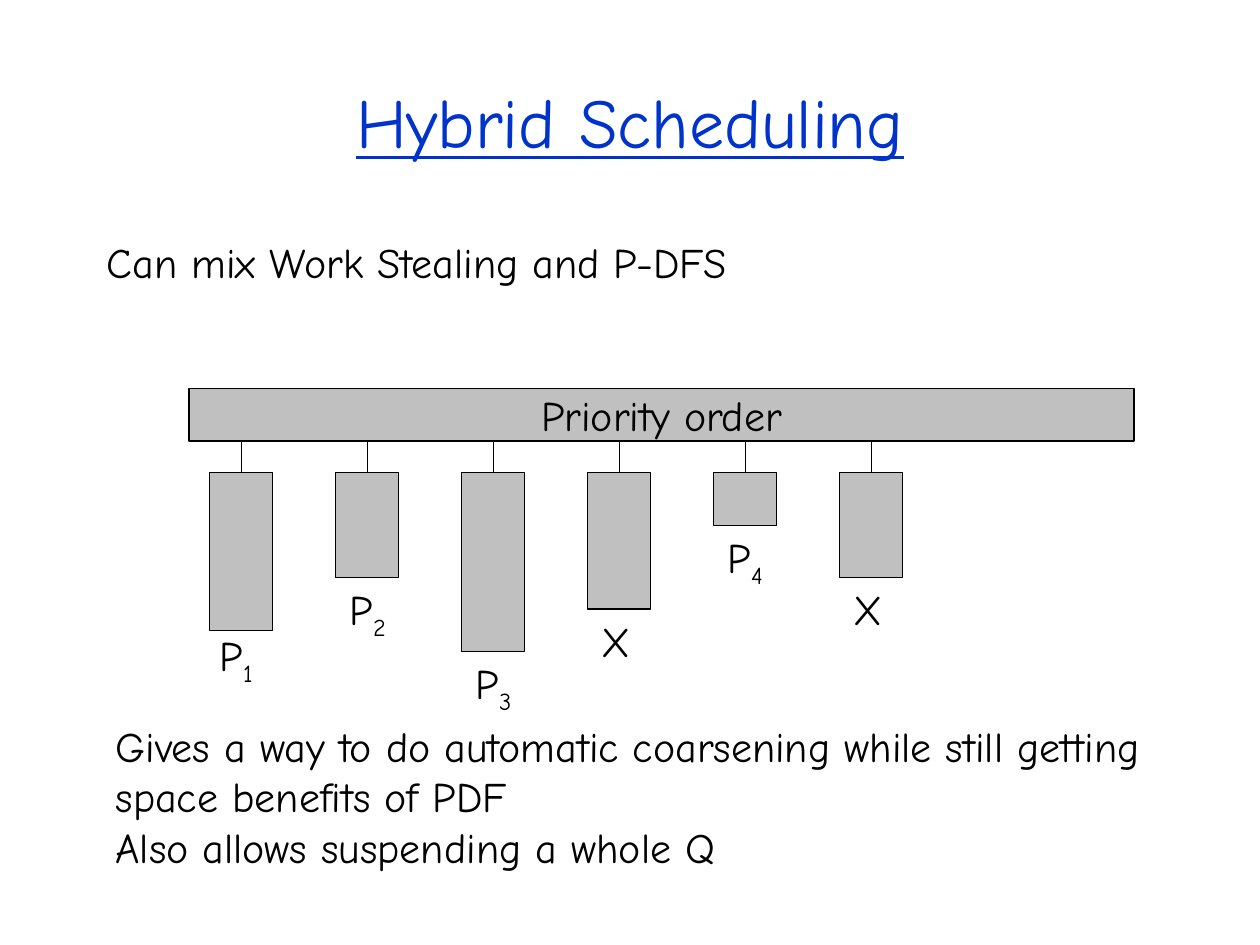
import dataclasses

import pptx
import pptx.dml.color
import pptx.enum.shapes
import pptx.enum.text
import pptx.oxml.ns
import pptx.util
from lxml import etree

Cm = pptx.util.Cm
Pt = pptx.util.Pt
BLUE = pptx.dml.color.RGBColor(0x00, 0x33, 0xCC)
BLACK = pptx.dml.color.RGBColor(0x00, 0x00, 0x00)
GRAY = pptx.dml.color.RGBColor(0xC0, 0xC0, 0xC0)
FONT = "Comic Neue"

BAR_TOP, BAR_HEIGHT = 7.83, 1.06
BAR_BOTTOM = BAR_TOP + BAR_HEIGHT
QUEUE_LEFT, QUEUE_TOP = 4.23, 9.53
QUEUE_WIDTH, QUEUE_PITCH = 1.27, 2.54


@dataclasses.dataclass
class Queue:
    height: float
    letter: str
    index: str = ""
    nudge_x: float = 0.03
    nudge_y: float = 0.0


QUEUES = [
    Queue(3.18, "P", "1", -0.05, -0.14),
    Queue(2.11, "P", "2"),
    Queue(3.6, "P", "3"),
    Queue(2.75, "X"),
    Queue(1.06, "P", "4"),
    Queue(2.11, "X"),
]


def place(shape, left: float, top: float, width: float, height: float) -> None:
    shape.left, shape.top = Cm(left), Cm(top)
    shape.width, shape.height = Cm(width), Cm(height)


def add_span(para, text: str, size: float = 24, color=BLACK):
    span = para.add_run()
    span.text = text
    span.font.name = FONT
    span.font.size = Pt(size)
    span.font.color.rgb = color
    return span


def add_block(page, left: float, top: float, width: float, height: float):
    block = page.shapes.add_shape(
        pptx.enum.shapes.MSO_SHAPE.RECTANGLE, Cm(left), Cm(top), Cm(width), Cm(height)
    )
    block.shadow.inherit = False
    block.fill.solid()
    block.fill.fore_color.rgb = GRAY
    block.line.color.rgb = BLACK
    block.line.width = Pt(0.75)
    return block


def add_label(page, left: float, top: float, width: float, height: float):
    box = page.shapes.add_textbox(Cm(left), Cm(top), Cm(width), Cm(height))
    box.text_frame.word_wrap = False
    box.text_frame.auto_size = pptx.enum.text.MSO_AUTO_SIZE.SHAPE_TO_FIT_TEXT
    return box


def add_queue(page, position: int, queue: Queue) -> None:
    left = QUEUE_LEFT + position * QUEUE_PITCH
    block = add_block(page, left, QUEUE_TOP, QUEUE_WIDTH, queue.height)
    middle = Cm(left + QUEUE_WIDTH / 2)
    link = page.shapes.add_connector(
        pptx.enum.shapes.MSO_CONNECTOR.STRAIGHT, middle, Cm(BAR_BOTTOM), middle, Cm(QUEUE_TOP)
    )
    link.end_connect(block, 0)
    link.line.color.rgb = BLACK
    link.line.width = Pt(0.75)
    etree.SubElement(link._element.spPr, pptx.oxml.ns.qn("a:effectLst"))

    box = add_label(
        page,
        left + queue.nudge_x,
        QUEUE_TOP + queue.height + queue.nudge_y,
        1.3 if queue.index else 0.99,
        1.27,
    )
    para = box.text_frame.paragraphs[0]
    add_span(para, queue.letter)
    if queue.index:
        span = add_span(para, queue.index)
        span.font._element.set("baseline", "-25000")


def add_title(page) -> None:
    title = page.shapes.title
    place(title, 1.9, 1.27, 21.6, 2.33)
    title.text_frame.vertical_anchor = pptx.enum.text.MSO_ANCHOR.MIDDLE
    title.text_frame.auto_size = pptx.enum.text.MSO_AUTO_SIZE.NONE
    para = title.text_frame.paragraphs[0]
    para.alignment = pptx.enum.text.PP_ALIGN.CENTER
    add_span(para, "Hybrid Scheduling", 40, BLUE).font.underline = True


def add_body(page) -> None:
    body = page.placeholders[1]
    place(body, 1.9, 4.65, 21.6, 3.18)
    body.text_frame.auto_size = pptx.enum.text.MSO_AUTO_SIZE.NONE
    para = body.text_frame.paragraphs[0]
    add_span(para, "Can mix Work Stealing and P-DFS")
    properties = para._p.get_or_add_pPr()
    properties.set("marL", str(Cm(0.95)))
    properties.set("indent", str(-Cm(0.95)))
    etree.SubElement(properties, pptx.oxml.ns.qn("a:buNone"))


def add_bar(page) -> None:
    bar = add_block(page, 3.81, BAR_TOP, 19.05, BAR_HEIGHT)
    bar.text_frame.word_wrap = False
    bar.text_frame.vertical_anchor = pptx.enum.text.MSO_ANCHOR.MIDDLE
    para = bar.text_frame.paragraphs[0]
    para.alignment = pptx.enum.text.PP_ALIGN.CENTER
    add_span(para, "Priority order")


def add_conclusion(page) -> None:
    frame = add_label(page, 2.08, 14.4, 22.02, 3.3).text_frame
    lines = [
        "Gives a way to do automatic coarsening while still getting",
        "space benefits of PDF",
        "Also allows suspending a whole Q",
    ]
    for number, line in enumerate(lines):
        para = frame.add_paragraph() if number else frame.paragraphs[0]
        add_span(para, line)


def main() -> None:
    deck = pptx.Presentation()
    deck.slide_width, deck.slide_height = Cm(25.4), Cm(19.05)
    page = deck.slides.add_slide(deck.slide_layouts[1])
    add_title(page)
    add_body(page)
    add_bar(page)
    for position, queue in enumerate(QUEUES):
        add_queue(page, position, queue)
    add_conclusion(page)
    deck.save("out.pptx")


if __name__ == "__main__":
    main()
